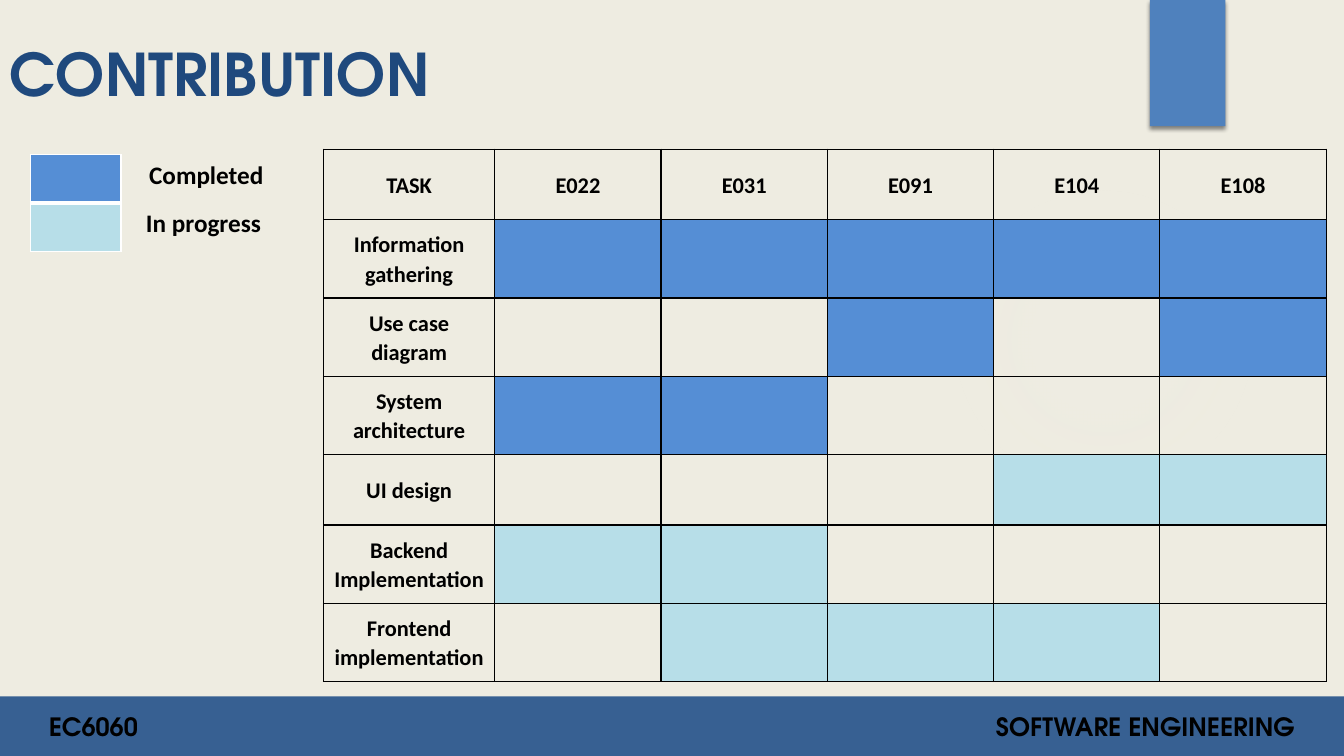
from pptx import Presentation
from pptx import util as u
from pptx.dml.color import RGBColor
from pptx.enum import shapes, text
from pptx.oxml import parse_xml
from pptx.oxml.ns import nsdecls, qn

HEAD, BODY = "TeX Gyre Adventor", "Calibri"
BLACK, WHITE = "000000", "FFFFFF"
FILLS = {"D": "558ED5", "P": "B7DEE8"}  # done, in progress
MEMBERS = ["E022", "E031", "E091", "E104", "E108"]
TASKS = [
    ("Information gathering", "DDDDD"),
    ("Use case diagram", "--D-D"),
    ("System architecture", "DD---"),
    ("UI design", "---PP"),
    ("Backend Implementation", "PP---"),
    ("Frontend implementation", "-PPP-"),
]


def hue(code):
    return RGBColor.from_string(code)


def xml(tag, inner):
    name = tag.split()[0]
    return parse_xml(f"<a:{tag} {nsdecls('a')}>{inner}</a:{name}>")


def solid(code, alpha=100):
    return f'<a:srgbClr val="{code}"><a:alpha val="{alpha * 1000}"/></a:srgbClr>'


def style(para, size, face, color=BLACK):
    font = para.font
    font.size, font.name, font.bold = u.Pt(size), face, True
    font.color.rgb = hue(color)


def block(slide, box, fill, kind=shapes.MSO_SHAPE.RECTANGLE):
    """Add a plain shape without outline or shadow."""
    shape = slide.shapes.add_shape(kind, *map(u.Cm, box))
    shape.shadow.inherit = False
    shape.fill.solid()
    shape.fill.fore_color.rgb = hue(fill)
    shape.line.fill.background()
    return shape


def label(slide, box, words, size, face, color=BLACK):
    frame = slide.shapes.add_textbox(*map(u.Cm, box)).text_frame
    frame.word_wrap = True
    frame.text = words
    style(frame.paragraphs[0], size, face, color)
    return frame


def edge(cell, color, widths):
    """Draw the left, right, top and bottom borders, widths in points."""
    props = cell._tc.get_or_add_tcPr()
    for i, (side, width) in enumerate(zip("LRTB", widths)):
        line = xml(f'ln{side} w="{u.Pt(width)}"',
                   f"<a:solidFill>{solid(color)}</a:solidFill>")
        props.insert(i, line)


def paint(cell, fill):
    if fill:
        cell.fill.solid()
        cell.fill.fore_color.rgb = hue(fill)
    else:
        cell.fill.background()


def grid(slide, left, top, cols, rows):
    """Add a table with the given column widths and row heights."""
    table = slide.shapes.add_table(
        len(rows), len(cols), u.Cm(left), u.Cm(top),
        u.Cm(sum(cols)), u.Cm(sum(rows))).table
    table.first_row = table.horz_banding = False
    for col, width in zip(table.columns, cols):
        col.width = u.Cm(width)
    for row, height in zip(table.rows, rows):
        row.height = u.Cm(height)
    return table


def decor(slide):
    """Place the faint glow and the blue tab at the top."""
    glow = block(slide, (23.9, 4.65, 7.82, 7.82), WHITE, shapes.MSO_SHAPE.OVAL)
    stops = "".join(f'<a:gs pos="{pos * 1000}">{solid("F5F4ED", alpha)}</a:gs>'
                    for pos, alpha in ((0, 7), (36, 6), (69, 0)))
    fade = xml("gradFill", f'<a:gsLst>{stops}</a:gsLst><a:path path="circle">'
               '<a:fillToRect l="50000" t="50000" r="50000" b="50000"/></a:path>')
    props = glow._element.spPr
    props.replace(props.find(qn("a:solidFill")), fade)

    tab = block(slide, (28.98, 0, 1.9, 3.18), "4F81BD")
    shade = xml(f'outerShdw blurRad="{u.Pt(3)}" dist="{u.Pt(2)}" dir="5400000"',
                solid(BLACK, 45))
    tab._element.spPr.find(qn("a:effectLst")).append(shade)


def matrix(slide, left, top):
    """Show which member works on which task."""
    rows = [1.78, 1.97, 1.97, 1.97, 1.78, 1.97, 1.97]
    table = grid(slide, left, top, [4.32] + [4.19] * len(MEMBERS), rows)
    heads = ["TASK"] + MEMBERS
    for r in range(len(rows)):
        name, marks = TASKS[r - 1] if r else ("", "")
        for c, head in enumerate(heads):
            cell = table.cell(r, c)
            paint(cell, FILLS.get(marks[c - 1]) if r and c else None)
            edge(cell, BLACK, [1] * 4)
            if r and c:
                continue
            cell.text = name if r else head
            cell.vertical_anchor = text.MSO_ANCHOR.MIDDLE
            cell.margin_left = cell.margin_right = u.Cm(0.18)
            cell.margin_top = cell.margin_bottom = 0
            para = cell.text_frame.paragraphs[0]
            para.alignment = text.PP_ALIGN.CENTER
            para.line_spacing = 1.07
            style(para, 16, BODY)


def legend(slide, left, top):
    high = 1.22
    table = grid(slide, left, top, [2.29], [high] * 2)
    for r, (fill, widths) in enumerate(
            zip(FILLS.values(), ([1, 1, 1, 3], [1, 1, 3, 1]))):
        paint(table.cell(r, 0), fill)
        edge(table.cell(r, 0), WHITE, widths)
    for r, (words, shift) in enumerate((("Completed", 2.75), ("In progress", 2.67))):
        label(slide, (left + shift, top + r * high, 4.19, 1.02), words, 18, BODY)


def footer(slide, top, wide, high):
    frame = block(slide, (0, top, wide, high), "376092").text_frame
    frame.margin_left, frame.margin_right = u.Cm(1.23), u.Cm(0.5)
    frame.vertical_anchor = text.MSO_ANCHOR.MIDDLE
    frame.text = "EC6060\tSOFTWARE ENGINEERING"
    para = frame.paragraphs[0]
    para.alignment = text.PP_ALIGN.LEFT
    style(para, 18, HEAD)
    stop = xml("tabLst", f'<a:tab pos="{u.Cm(31.4)}" algn="r"/>')
    para._p.get_or_add_pPr().insert(0, stop)


def main():
    deck = Presentation()
    deck.slide_width, deck.slide_height = u.Cm(33.87), u.Cm(19.05)
    slide = deck.slides.add_slide(deck.slide_layouts[6])
    back = slide.background.fill
    back.solid()
    back.fore_color.rgb = hue("EEECE1")
    decor(slide)
    title = label(slide, (0, 0, 15.21, 3.68), "CONTRIBUTION", 42, HEAD, "1F497D")
    title.vertical_anchor = text.MSO_ANCHOR.MIDDLE
    matrix(slide, 8.15, 3.76)
    footer(slide, 17.55, 33.87, 1.5)
    legend(slide, 0.76, 3.89)
    deck.save("out.pptx")


if __name__ == "__main__":
    main()
